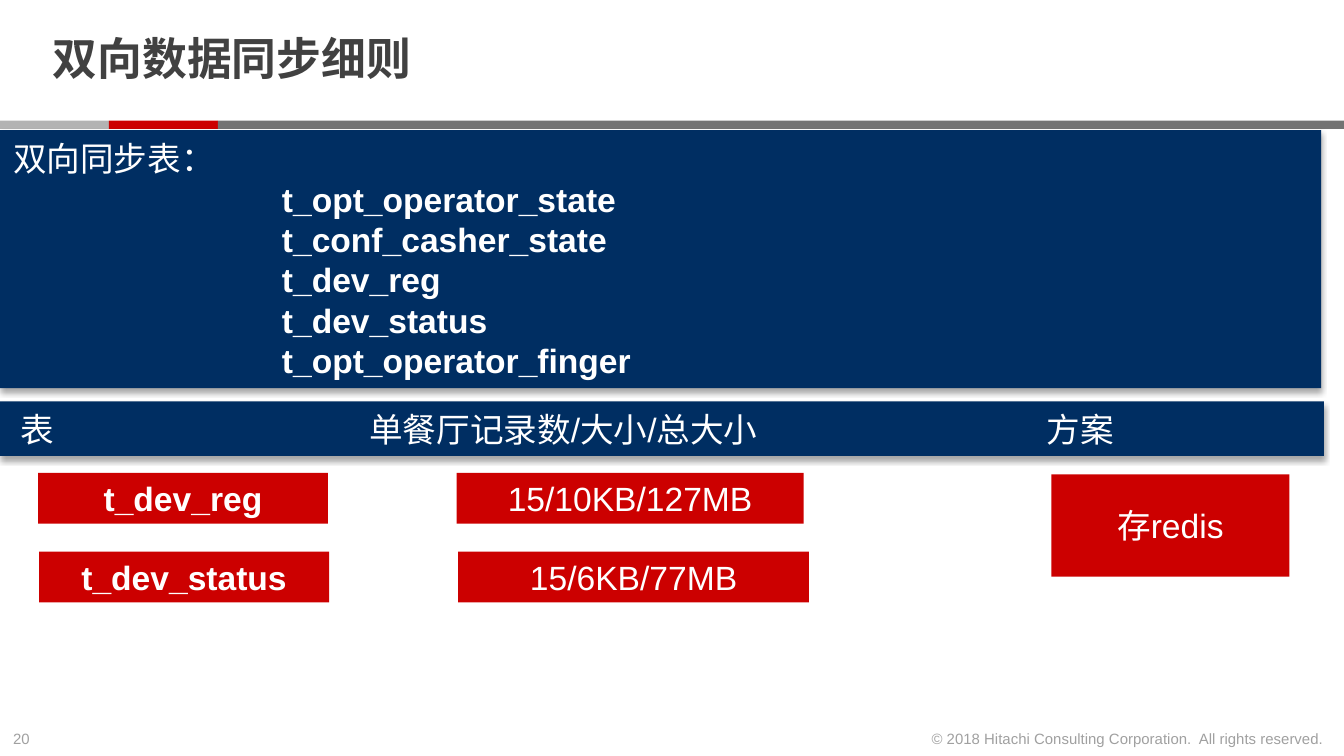
from dataclasses import dataclass

from lxml import etree
from pptx import Presentation
from pptx import util as u
from pptx.dml.color import RGBColor
from pptx.enum import shapes, text
from pptx.oxml.ns import qn


@dataclass(frozen=True)
class Theme:
    font: str = "Arial"
    ink: str = "414141"
    faded: str = "A0A0A0"
    white: str = "FFFFFF"
    navy: str = "002E62"
    red: str = "CC0000"
    gray: str = "737373"
    silver: str = "B3B3B3"
    title_size: float = 24
    body_size: float = 18
    footer_size: float = 8


@dataclass(frozen=True)
class Box:
    left: float
    top: float
    width: float
    height: float

    def lengths(self) -> tuple:
        return tuple(u.Cm(v) for v in (self.left, self.top, self.width, self.height))


@dataclass(frozen=True)
class Tile:
    box: Box
    label: str
    bold: bool = False


THEME = Theme()
SLIDE_WIDTH, SLIDE_HEIGHT = 25.4, 14.29
RULE_TOP, RULE_HEIGHT, RULE_STEP = 2.28, 0.16, 2.06
TILE_HEIGHT = 0.96
ROW_TOPS = (8.94, 10.43)

SYNC_TABLES = ("t_opt_operator_state", "t_conf_casher_state", "t_dev_reg",
               "t_dev_status", "t_opt_operator_finger")
HEADINGS = ("表", "单餐厅记录数/大小/总大小", "方案")
HEADING_TABS = (6.6, 19.4)
TILES = (
    Tile(Box(0.72, ROW_TOPS[0], 5.48, TILE_HEIGHT), "t_dev_reg", True),
    Tile(Box(0.74, ROW_TOPS[1], 5.48, TILE_HEIGHT), "t_dev_status", True),
    Tile(Box(8.63, ROW_TOPS[0], 6.56, TILE_HEIGHT), "15/10KB/127MB"),
    Tile(Box(8.66, ROW_TOPS[1], 6.63, TILE_HEIGHT), "15/6KB/77MB"),
    Tile(Box(19.87, 8.97, 4.5, 1.93), "存redis"),
)


def style(paragraph, size: float, color: str, bold: bool = False,
          align=text.PP_ALIGN.LEFT) -> None:
    paragraph.alignment = align
    font = paragraph.font
    font.name, font.size, font.bold = THEME.font, u.Pt(size), bold
    font.color.rgb = RGBColor.from_string(color)


def add_rect(slide, box: Box, fill: str):
    rect = slide.shapes.add_shape(shapes.MSO_SHAPE.RECTANGLE, *box.lengths())
    rect.shadow.inherit = False
    rect.fill.solid()
    rect.fill.fore_color.rgb = RGBColor.from_string(fill)
    rect.line.fill.background()
    rect.text_frame.word_wrap = True
    rect.text_frame.vertical_anchor = text.MSO_ANCHOR.MIDDLE
    return rect


def add_panel(slide, box: Box):
    """Add a navy rectangle with a soft shadow below it."""
    panel = add_rect(slide, box, THEME.navy)
    effects = panel._element.spPr.find(qn("a:effectLst"))
    shadow = etree.SubElement(effects, qn("a:outerShdw"), blurRad=str(u.Pt(3.1)),
                              dist=str(u.Pt(1.8)), dir="5400000", rotWithShape="0")
    color = etree.SubElement(shadow, qn("a:srgbClr"), val="000000")
    etree.SubElement(color, qn("a:alpha"), val="35000")
    return panel


def add_tabs(paragraph, stops: tuple[float, ...]) -> None:
    tabs = etree.SubElement(paragraph._p.get_or_add_pPr(), qn("a:tabLst"))
    for stop in stops:
        etree.SubElement(tabs, qn("a:tab"), pos=str(u.Cm(stop)), algn="l")


def add_tile(slide, tile: Tile) -> None:
    label = add_rect(slide, tile.box, THEME.red).text_frame.paragraphs[0]
    label.text = tile.label
    style(label, THEME.body_size, THEME.white, tile.bold, text.PP_ALIGN.CENTER)


def add_footer(slide, box: Box, words: str, align) -> None:
    frame = slide.shapes.add_textbox(*box.lengths()).text_frame
    frame.word_wrap = False
    frame.paragraphs[0].text = words
    style(frame.paragraphs[0], THEME.footer_size, THEME.faded, align=align)


def add_title(slide, words: str) -> None:
    title = slide.shapes.title
    title.left, title.top, title.width, title.height = Box(0.74, 0.15, 19.58, 2.03).lengths()
    frame = title.text_frame
    frame.margin_top = frame.margin_bottom = 0
    frame.vertical_anchor = text.MSO_ANCHOR.MIDDLE
    heading = frame.paragraphs[0]
    heading.text = words
    heading.line_spacing = 0.85
    style(heading, THEME.title_size, THEME.ink, True)


def add_sync_list(slide) -> None:
    frame = add_panel(slide, Box(0, 2.46, 24.97, 4.88)).text_frame
    frame.paragraphs[0].text = "双向同步表："
    style(frame.paragraphs[0], THEME.body_size, THEME.white)
    for table_name in SYNC_TABLES:
        entry = frame.add_paragraph()
        entry.text = table_name
        entry.level = 4
        properties = entry._p.get_or_add_pPr()
        properties.set("marL", str(u.Cm(5.08)))
        properties.set("indent", "0")
        style(entry, THEME.body_size, THEME.white, True)


def add_heading_bar(slide) -> None:
    frame = add_panel(slide, Box(0, 7.59, 25.02, 1.03)).text_frame
    frame.margin_left = u.Cm(0.38)
    headings = frame.paragraphs[0]
    headings.text = "\t".join(HEADINGS)
    add_tabs(headings, HEADING_TABS)
    style(headings, THEME.body_size, THEME.white)


def main() -> None:
    deck = Presentation()
    deck.slide_width, deck.slide_height = u.Cm(SLIDE_WIDTH), u.Cm(SLIDE_HEIGHT)
    slide = deck.slides.add_slide(deck.slide_layouts[5])

    add_footer(slide, Box(0, 13.66, 0.86, 0.6), "20", text.PP_ALIGN.LEFT)
    rule_widths = (RULE_STEP, RULE_STEP, SLIDE_WIDTH - 2 * RULE_STEP)
    for i, (width, fill) in enumerate(zip(rule_widths, (THEME.silver, THEME.red, THEME.gray))):
        add_rect(slide, Box(i * RULE_STEP, RULE_TOP, width, RULE_HEIGHT), fill)
    add_footer(slide, Box(17.27, 13.66, 8, 0.6),
               "© 2018 Hitachi Consulting Corporation.  All rights reserved.",
               text.PP_ALIGN.RIGHT)

    add_title(slide, "双向数据同步细则")
    add_sync_list(slide)
    add_heading_bar(slide)
    for tile in TILES:
        add_tile(slide, tile)
    deck.save("out.pptx")


if __name__ == "__main__":
    main()
